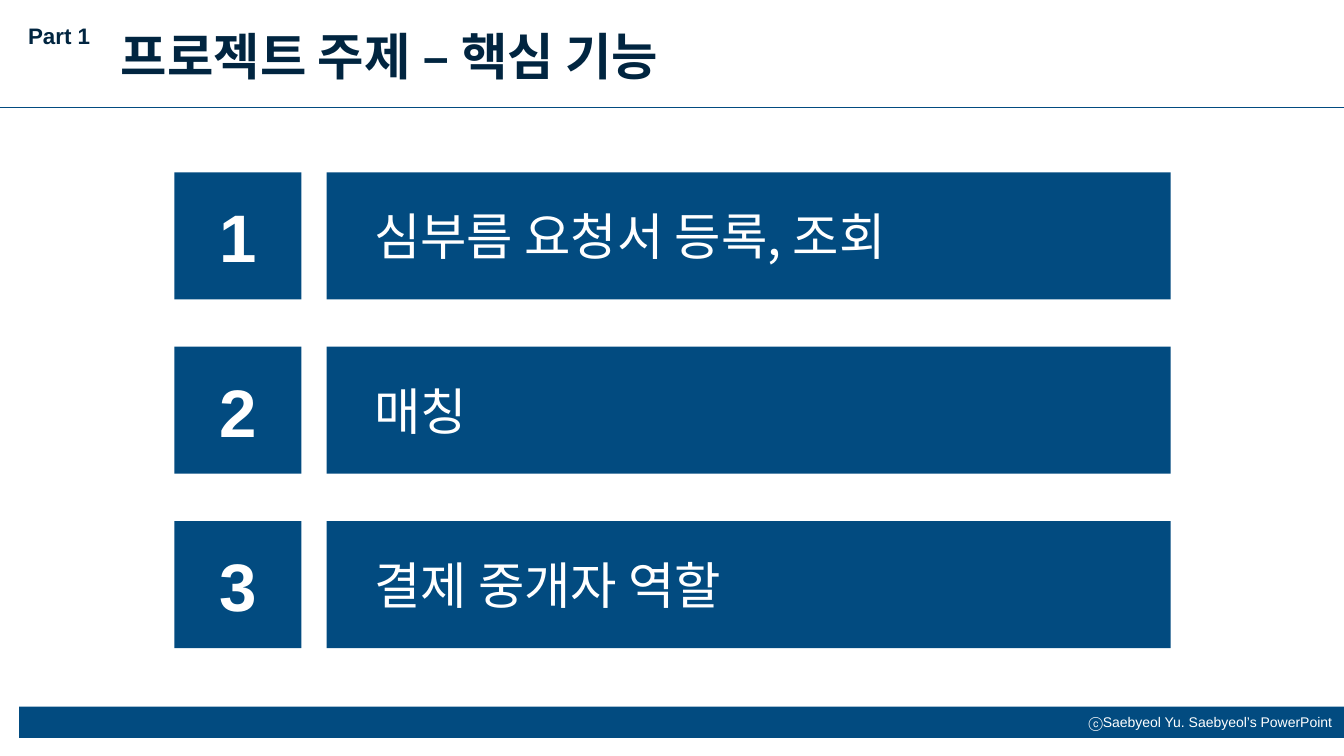
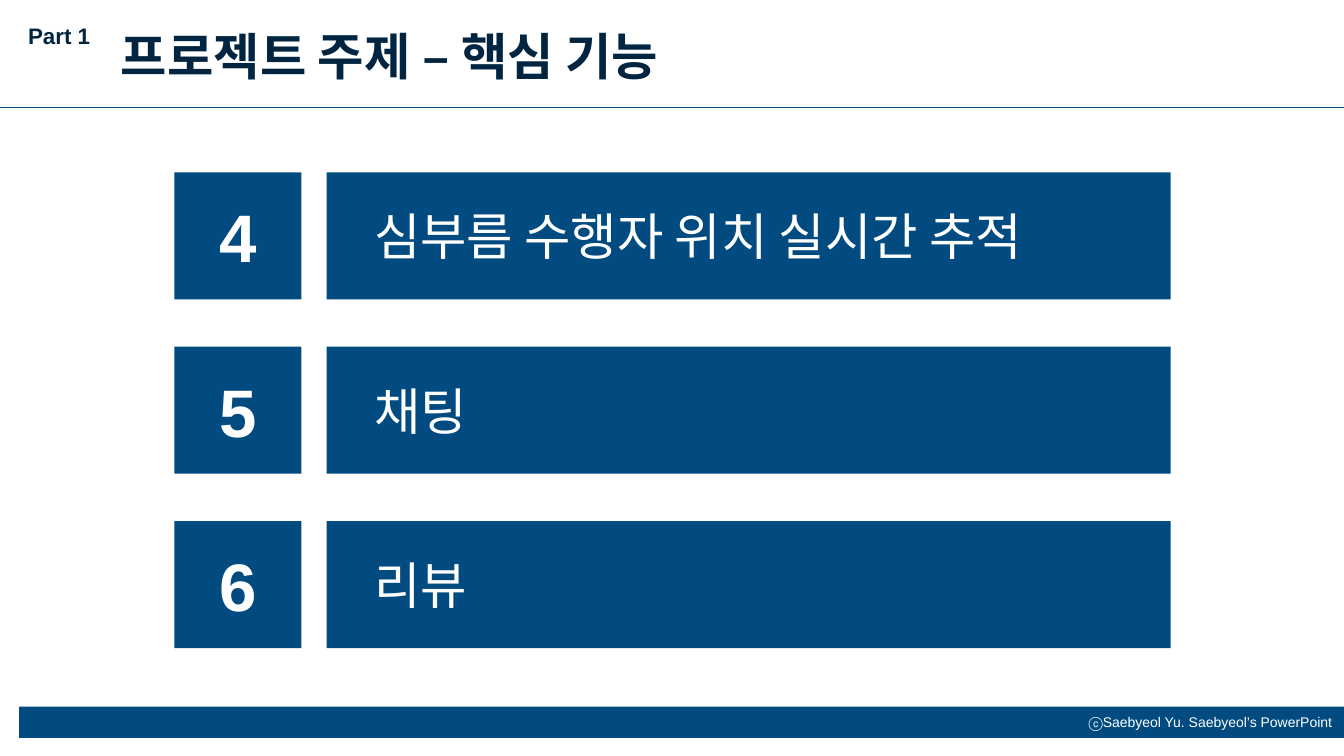
from dataclasses import dataclass

from lxml.etree import SubElement
from pptx import Presentation
from pptx.dml.color import RGBColor
from pptx.enum.shapes import MSO_CONNECTOR, MSO_SHAPE
from pptx.enum.text import MSO_ANCHOR, MSO_AUTO_SIZE, PP_ALIGN
from pptx.oxml.ns import qn
from pptx.shapes.autoshape import Shape
from pptx.slide import Slide
from pptx.util import Inches, Pt

BLUE = RGBColor(0x02, 0x4B, 0x80)
NAVY = RGBColor(0x01, 0x25, 0x40)
WHITE = RGBColor(0xFF, 0xFF, 0xFF)

LATIN_FONT = "Arial"
KOREAN_FONT = "Noto Sans CJK KR"

SLIDE_WIDTH = 13.33
TITLE_ONLY_LAYOUT = 5
RULE_TOP = 1.07
ROW_TOP = 1.71
ROW_STEP = 1.73
ROW_HEIGHT = 1.26
NUMBER_LEFT = 1.73
LABEL_LEFT = 3.24
LABEL_WIDTH = 8.37


@dataclass(frozen=True)
class FeaturePage:
    section: str
    title: str
    first_number: int
    features: tuple[str, ...]


PAGES = (
    FeaturePage("Part 1", "프로젝트 주제 – 핵심 기능", 1,
                ("심부름 요청서 등록, 조회", "매칭", "결제 중개자 역할")),
    FeaturePage("Part 1", "프로젝트 주제 – 핵심 기능", 4,
                ("심부름 수행자 위치 실시간 추적", "채팅", "리뷰")),
)


def write_text(box: Shape, text: str, *, size: float, color: RGBColor = WHITE,
               font: str = LATIN_FONT, bold: bool = False,
               align: PP_ALIGN = PP_ALIGN.LEFT,
               anchor: MSO_ANCHOR = MSO_ANCHOR.MIDDLE,
               left_inset: float = 0.1, right_inset: float = 0.1) -> None:
    frame = box.text_frame
    frame.word_wrap = True
    frame.auto_size = MSO_AUTO_SIZE.NONE
    frame.vertical_anchor = anchor
    frame.margin_left, frame.margin_right = Inches(left_inset), Inches(right_inset)
    frame.margin_top = frame.margin_bottom = Inches(0.05)
    para = frame.paragraphs[0]
    para.alignment = align
    para.line_spacing = 1.0
    span = para.add_run()
    span.text = text
    span.font.size = Pt(size)
    span.font.bold = bold
    span.font.color.rgb = color
    span.font.name = font
    # Korean glyphs use the East Asian font slot.
    SubElement(span.font._element, qn("a:ea")).set("typeface", font)


def add_block(page: Slide, left: float, top: float, width: float, height: float) -> Shape:
    block = page.shapes.add_shape(MSO_SHAPE.RECTANGLE, Inches(left), Inches(top),
                                  Inches(width), Inches(height))
    block.shadow.inherit = False
    block.fill.solid()
    block.fill.fore_color.rgb = BLUE
    block.line.fill.background()
    return block


def add_footer(page: Slide) -> None:
    band = add_block(page, 0.19, 7.01, SLIDE_WIDTH - 0.19, 0.31)
    write_text(band, "ⓒSaebyeol Yu. Saebyeol’s PowerPoint", size=10,
               align=PP_ALIGN.RIGHT, right_inset=0.12)


def add_header(page: Slide, section: str, title: str) -> None:
    rule = page.shapes.add_connector(MSO_CONNECTOR.STRAIGHT, Inches(0), Inches(RULE_TOP),
                                     Inches(SLIDE_WIDTH), Inches(RULE_TOP))
    rule.line.color.rgb = BLUE
    rule.line.width = Pt(0.5)
    SubElement(rule._element.spPr, qn("a:effectLst"))

    section_box = page.shapes.add_textbox(Inches(0.18), Inches(0.17),
                                          Inches(0.92), Inches(0.37))
    write_text(section_box, section, size=16, color=NAVY, bold=True, anchor=MSO_ANCHOR.TOP)

    title_box = page.shapes.title
    title_box.left, title_box.top = Inches(1.1), Inches(0.19)
    title_box.width, title_box.height = Inches(6.27), Inches(0.71)
    write_text(title_box, title, size=36, color=NAVY, font=KOREAN_FONT, bold=True)


def add_feature(page: Slide, row: int, number: int, feature: str) -> None:
    top = ROW_TOP + row * ROW_STEP
    number_box = add_block(page, NUMBER_LEFT, top, ROW_HEIGHT, ROW_HEIGHT)
    write_text(number_box, str(number), size=48, bold=True, align=PP_ALIGN.CENTER)
    label_box = add_block(page, LABEL_LEFT, top, LABEL_WIDTH, ROW_HEIGHT)
    write_text(label_box, feature, size=36, font=KOREAN_FONT, left_inset=0.47)


def main() -> None:
    deck = Presentation()
    deck.slide_width, deck.slide_height = Inches(SLIDE_WIDTH), Inches(7.5)
    for content in PAGES:
        page = deck.slides.add_slide(deck.slide_layouts[TITLE_ONLY_LAYOUT])
        add_footer(page)
        add_header(page, content.section, content.title)
        for row, feature in enumerate(content.features):
            add_feature(page, row, content.first_number + row, feature)
    deck.save("out.pptx")


if __name__ == "__main__":
    main()
